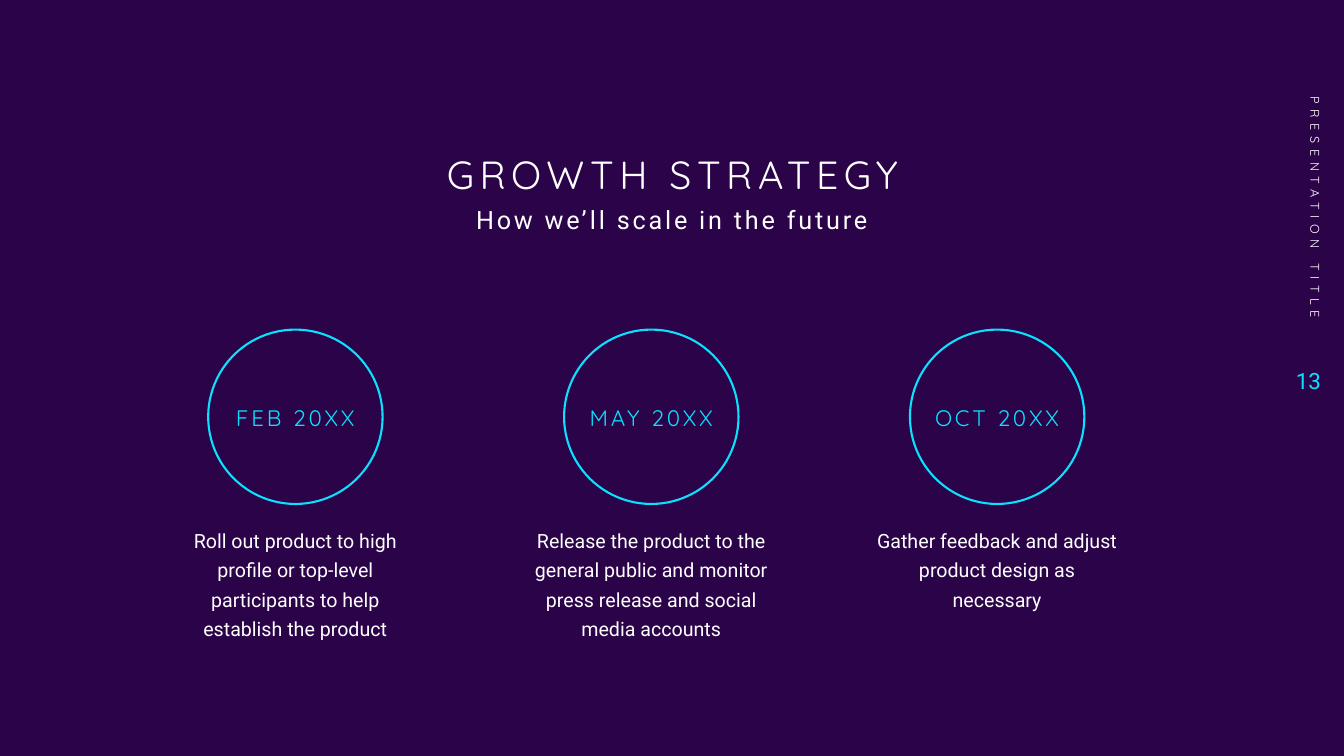
from dataclasses import dataclass

import pptx
import pptx.dml.color
import pptx.enum.shapes
import pptx.enum.text
import pptx.util

Inches = pptx.util.Inches
Align = pptx.enum.text.PP_ALIGN
Anchor = pptx.enum.text.MSO_ANCHOR

COLOURS = {"background": "2B0348", "accent": "0BE1FF", "text": "FFFFFF"}
HEADING_FONT = "Quicksand"
BODY_FONT = "Roboto"
CIRCLE_TOP, CIRCLE_SIZE = 3.27, 1.73
LABEL_TOP, LABEL_WIDTH, LABEL_HEIGHT = 3.57, 1.87, 1.15
DETAIL_TOP, DETAIL_WIDTH, DETAIL_HEIGHT = 5.14, 2.66, 1.26


@dataclass(frozen=True)
class TextStyle:
    font: str
    size: float
    colour: str = "text"
    tracking: float = 0
    align: Align = Align.CENTER
    anchor: Anchor = Anchor.TOP
    line_spacing: float = 1.0
    space_before: float = 0


@dataclass(frozen=True)
class Milestone:
    centre: float
    date: str
    detail: str


TITLE = TextStyle(HEADING_FONT, 28, tracking=4, anchor=Anchor.BOTTOM, line_spacing=0.9)
SUBTITLE = TextStyle(BODY_FONT, 18, tracking=2, line_spacing=0.9, space_before=10)
DATE = TextStyle(HEADING_FONT, 16, "accent", 2, anchor=Anchor.MIDDLE, space_before=10)
DETAIL = TextStyle(BODY_FONT, 14, line_spacing=1.25)
SIDE_TITLE = TextStyle(HEADING_FONT, 9, tracking=4, align=Align.RIGHT, anchor=Anchor.MIDDLE)
PAGE_NUMBER = TextStyle(BODY_FONT, 16, "accent", align=Align.RIGHT, anchor=Anchor.MIDDLE)

MILESTONES = [
    Milestone(2.93, "FEB 20XX", "Roll out product to high profile or top-level "
              "participants to help establish the product"),
    Milestone(6.46, "MAY 20XX", "Release the product to the general public and monitor "
              "press release and social media accounts"),
    Milestone(9.89, "OCT 20XX", "Gather feedback and adjust product design as necessary"),
]


def colour(name: str) -> pptx.dml.color.RGBColor:
    return pptx.dml.color.RGBColor.from_string(COLOURS[name])


def set_attributes(target, values: dict) -> None:
    for name, value in values.items():
        setattr(target, name, value)


def write_text(box, text: str, style: TextStyle) -> None:
    frame = box.text_frame
    set_attributes(frame, {
        "word_wrap": True,
        "auto_size": pptx.enum.text.MSO_AUTO_SIZE.NONE,
        "vertical_anchor": style.anchor,
    })
    para = frame.paragraphs[0]
    set_attributes(para, {
        "alignment": style.align,
        "line_spacing": style.line_spacing,
        "space_before": pptx.util.Pt(style.space_before),
    })
    span = para.add_run()
    span.text = text
    set_attributes(span.font, {"name": style.font, "size": pptx.util.Pt(style.size)})
    span.font.color.rgb = colour(style.colour)
    if style.tracking:
        span.font._element.set("spc", str(round(style.tracking * 100)))


def add_text(page, text: str, style: TextStyle, left: float, top: float,
             width: float, height: float, rotation: float = 0) -> None:
    box = page.shapes.add_textbox(Inches(left), Inches(top), Inches(width), Inches(height))
    box.rotation = rotation
    write_text(box, text, style)


def add_milestone(page, milestone: Milestone) -> None:
    circle = page.shapes.add_shape(
        pptx.enum.shapes.MSO_SHAPE.OVAL,
        Inches(milestone.centre - CIRCLE_SIZE / 2), Inches(CIRCLE_TOP),
        Inches(CIRCLE_SIZE), Inches(CIRCLE_SIZE))
    circle.shadow.inherit = False
    circle.fill.background()
    circle.line.color.rgb = colour("accent")
    circle.line.width = pptx.util.Pt(1.5)
    add_text(page, milestone.date, DATE, milestone.centre - LABEL_WIDTH / 2,
             LABEL_TOP, LABEL_WIDTH, LABEL_HEIGHT)
    add_text(page, milestone.detail, DETAIL, milestone.centre - DETAIL_WIDTH / 2,
             DETAIL_TOP, DETAIL_WIDTH, DETAIL_HEIGHT)


def main() -> None:
    deck = pptx.Presentation()
    set_attributes(deck, {"slide_width": Inches(13.33), "slide_height": Inches(7.5)})
    page = deck.slides.add_slide(deck.slide_layouts.get_by_name("Title Only"))
    page.background.fill.solid()
    page.background.fill.fore_color.rgb = colour("background")

    title = page.shapes.title
    set_attributes(title, {
        "left": Inches(3.6), "top": Inches(1.27),
        "width": Inches(6.14), "height": Inches(0.74),
    })
    write_text(title, "GROWTH STRATEGY", TITLE)
    add_text(page, "How we’ll scale in the future", SUBTITLE, 3.85, 2.01, 5.63, 0.79)

    for milestone in MILESTONES:
        add_milestone(page, milestone)

    add_text(page, "PRESENTATION TITLE", SIDE_TITLE, 11.53, 1.54, 3.03, 0.4, rotation=90)
    add_text(page, "13", PAGE_NUMBER, 12.6, 3.46, 0.6, 0.63)
    deck.save("out.pptx")


if __name__ == "__main__":
    main()
